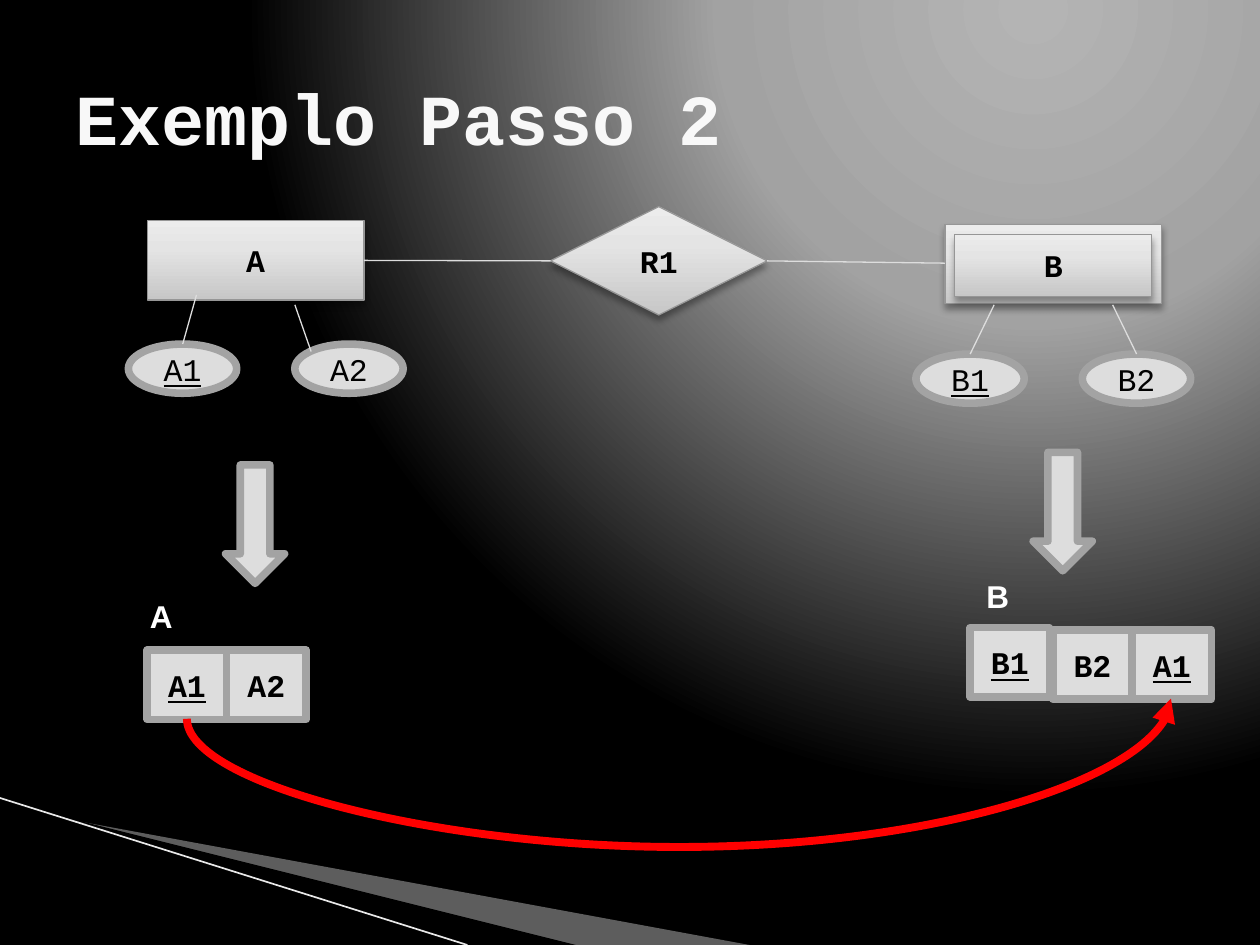
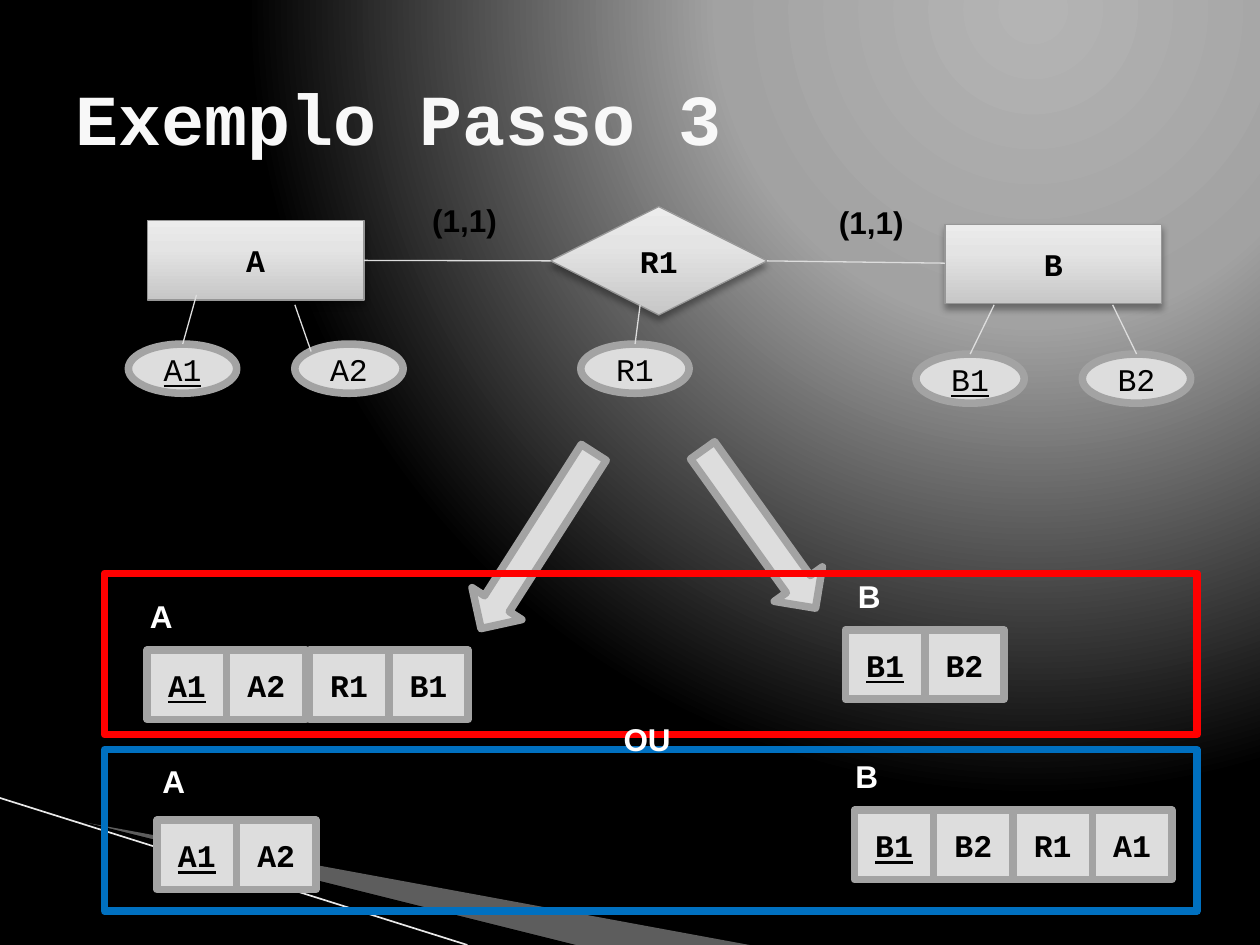
import lxml.etree
import pptx
import pptx.dml.color
import pptx.enum.shapes
import pptx.enum.text
import pptx.oxml.ns
import pptx.util

Pt = pptx.util.Pt
qn = pptx.oxml.ns.qn
SHAPES = pptx.enum.shapes.MSO_SHAPE
CONNECTORS = pptx.enum.shapes.MSO_CONNECTOR
ALIGN = pptx.enum.text.PP_ALIGN
ANCHOR = pptx.enum.text.MSO_ANCHOR

CODE_FONT, LABEL_FONT = "Courier New", "Arial"
BLACK, WHITE, TITLE = "000000", "FFFFFF", "F8F8F8"
LIGHT, BORDER, ENTITY_BORDER = "DDDDDD", "A3A3A3", "969696"
BAND, BAND_LINE = "EAEAEA", "E8E8E8"
RED, BLUE = "FF0000", "0070C0"
HEAVY, THIN = 4.33, 0.75
BACKGROUND_STOPS = [(0, "B4B4B4"), (40, "A2A2A2"), (100, BLACK)]
ENTITY_STOPS = [(0, "C7C7C7"), (65, "E4E4E4"), (100, "ECECEC")]
ENTITY_SIZE, ATTRIBUTE_SIZE, CELL_SIZE = (123.8, 45.4), (61.9, 28.1), (45.36, 39.6)


def color(value):
    """Turn a hex string into a colour."""
    return pptx.dml.color.RGBColor.from_string(value)


def add_child(parent, tag, **attributes):
    """Append a DrawingML element with the given attributes."""
    child = lxml.etree.SubElement(parent, qn(tag))
    for name, value in attributes.items():
        child.set(name, str(value))
    return child


def set_gradient(fill, owner, stops):
    """Give a fill the stops and return its emptied gradient element."""
    fill.gradient()
    gradient = owner.find(".//" + qn("a:gradFill"))
    for child in list(gradient):
        gradient.remove(child)
    stop_list = add_child(gradient, "a:gsLst")
    for position, value in stops:
        stop = add_child(stop_list, "a:gs", pos=position * 1000)
        add_child(stop, "a:srgbClr", val=value)
    return gradient


def set_background(master):
    """Light the shared background from its upper right."""
    gradient = set_gradient(master.background.fill, master.element.cSld, BACKGROUND_STOPS)
    radial = add_child(gradient, "a:path", path="circle")
    add_child(radial, "a:fillToRect", l=65000, t=0, r=0, b=98000)


def write_text(shape, text, size=18, font=CODE_FONT, fill=BLACK, bold=True,
               underline=False, align=ALIGN.CENTER, anchor=ANCHOR.MIDDLE, wrap=True):
    """Write one formatted run into a shape."""
    frame = shape.text_frame
    frame.word_wrap = wrap
    frame.vertical_anchor = anchor
    paragraph = frame.paragraphs[0]
    paragraph.alignment = align
    run = paragraph.add_run()
    run.text = text
    run.font.size = Pt(size)
    run.font.name = font
    run.font.bold = bold
    run.font.underline = underline
    run.font.color.rgb = color(fill)


def add_box(slide, kind, left, top, width, height, fill=LIGHT, line=BORDER,
            weight=HEAVY, rotation=0):
    """Add a preset shape without a shadow."""
    shape = slide.shapes.add_shape(kind, Pt(left), Pt(top), Pt(width), Pt(height))
    shape.shadow.inherit = False
    shape.rotation = rotation
    if fill:
        shape.fill.solid()
        shape.fill.fore_color.rgb = color(fill)
    else:
        shape.fill.background()
    shape.line.color.rgb = color(line)
    shape.line.width = Pt(weight)
    return shape


def add_line(slide, start, end, line=LIGHT, weight=THIN, kind=CONNECTORS.STRAIGHT):
    """Connect two points without a shadow."""
    connector = slide.shapes.add_connector(kind, *map(Pt, (*start, *end)))
    connector.line.color.rgb = color(line)
    connector.line.width = Pt(weight)
    add_child(connector.element.spPr, "a:effectLst")
    return connector


def add_label(slide, text, left, top, width=27.4, fill=WHITE):
    """Add a free-standing bold label."""
    box = slide.shapes.add_textbox(Pt(left), Pt(top), Pt(width), Pt(28.8))
    write_text(box, text, font=LABEL_FONT, fill=fill, align=ALIGN.LEFT,
               anchor=ANCHOR.TOP, wrap=False)


def add_wedge(slide, points, fill):
    """Add a filled outline and return it."""
    corners = [(Pt(x), Pt(y)) for x, y in points]
    builder = slide.shapes.build_freeform(*corners[0])
    builder.add_line_segments(corners[1:])
    shape = builder.convert_to_shape()
    shape.shadow.inherit = False
    shape.fill.solid()
    shape.fill.fore_color.rgb = color(fill)
    shape.line.fill.background()
    return shape


def draw_corner(slide):
    """Draw the wedges and line of the lower left corner."""
    band = add_wedge(slide, [(39.6, 468.3), (428.4, 540), (328.3, 540)], BAND)
    add_child(band.element.spPr.find(".//" + qn("a:srgbClr")), "a:alpha", val=40000)
    add_wedge(slide, [(38.2, 467.3), (329, 540), (267.8, 540)], BLACK)
    add_line(slide, (0, 456), (267.1, 540), BAND_LINE, 0.95)


def start_slide(presentation, title):
    """Add a titled slide with the shared decoration."""
    slide = presentation.slides.add_slide(presentation.slide_layouts[5])
    draw_corner(slide)
    shape = slide.shapes.title
    shape.left, shape.top, shape.width, shape.height = map(Pt, (36, 21.6, 648, 90))
    write_text(shape, title, size=41, fill=TITLE, align=ALIGN.LEFT)
    return slide


def draw_raised(slide, kind, text, left, top, width, height):
    """Draw a diagram node with a gradient and a soft shadow."""
    shape = add_box(slide, kind, left, top, width, height, line=ENTITY_BORDER, weight=THIN)
    properties = shape.element.spPr
    gradient = set_gradient(shape.fill, properties, ENTITY_STOPS)
    add_child(gradient, "a:lin", ang=270 * 60000, scaled=0)
    shadow = add_child(properties.find(qn("a:effectLst")), "a:outerShdw",
                       blurRad=Pt(4), dist=Pt(3), dir=90 * 60000, rotWithShape=0)
    add_child(add_child(shadow, "a:srgbClr", val=BLACK), "a:alpha", val=35000)
    if text:
        write_text(shape, text)


def draw_attribute(slide, text, left, top, link_start=(31, 0), link_end=(31, -28.1),
                   key=False):
    """Draw an attribute and its link, given from the attribute's corner."""
    shape = add_box(slide, SHAPES.OVAL, left, top, *ATTRIBUTE_SIZE)
    write_text(shape, text, bold=False, underline=key)
    add_line(slide, *[(left + x, top + y) for x, y in (link_start, link_end)])


def draw_entity_a(slide, left, top):
    """Draw entity A with its attributes."""
    draw_raised(slide, SHAPES.RECTANGLE, "A", left, top, *ENTITY_SIZE)
    draw_attribute(slide, "A1", left - 10.8, top + 70.6, link_end=(38.9, -28.1), key=True)
    draw_attribute(slide, "A2", left + 84.3, top + 70.6, (9.3, 4.3), (0, -22.4))


def draw_entity_b(slide, left, top, weak=False):
    """Draw entity B with its attributes and a double frame if weak."""
    draw_raised(slide, SHAPES.RECTANGLE, "" if weak else "B", left, top, *ENTITY_SIZE)
    if weak:
        draw_raised(slide, SHAPES.RECTANGLE, "B", left + 5.6, top + 5.8, 112.5, 35.3)
    draw_attribute(slide, "B1", left - 16.6, top + 74.1, link_end=(44.7, -28.1), key=True)
    draw_attribute(slide, "B2", left + 78.5, top + 74.1, link_end=(17.3, -28.1))


def draw_model(slide, left=84.2, top=118.1, weak=False):
    """Draw the two entities joined by their relationship."""
    middle = top + 31
    draw_entity_a(slide, left, top + 7.9)
    draw_entity_b(slide, left + 455.8, top + 10.1, weak)
    draw_raised(slide, SHAPES.DIAMOND, "R1", left + 230.4, top, 123.8, 61.9)
    add_line(slide, (left + 123.8, middle - 0.3), (left + 230.4, middle))
    add_line(slide, (left + 354.2, middle), (left + 455.8, middle + 1.3))


def draw_columns(slide, left, top, columns, keys=()):
    """Draw the columns of a relation side by side, underlining the keys."""
    width, height = CELL_SIZE
    for index, column in enumerate(columns):
        cell = add_box(slide, SHAPES.RECTANGLE, left + index * width, top, width, height)
        write_text(cell, column, underline=column in keys)


def draw_arrow(slide, left, top, height=67.7, rotation=0):
    """Draw a block arrow from the model to a relation."""
    add_box(slide, SHAPES.DOWN_ARROW, left, top, 33.8, height, rotation=rotation)


def draw_reference(slide, left, top, width, rise, depth):
    """Draw the curved arrow from a key to its foreign key."""
    center_x, center_y = left + width / 2, top - rise / 2
    curve = add_line(slide, (center_x + rise / 2, center_y + width / 2),
                     (center_x - rise / 2, center_y - width / 2), RED, 4.5, CONNECTORS.CURVE)
    properties = curve.element.spPr
    properties.find(qn("a:xfrm")).set("rot", str(90 * 60000))
    geometry = properties.find(qn("a:prstGeom"))
    guides = geometry.find(qn("a:avLst"))
    if guides is None:
        guides = add_child(geometry, "a:avLst")
    add_child(guides, "a:gd", name="adj1", fmla=f"val {round(-depth / rise * 100000)}")
    add_child(properties.find(qn("a:ln")), "a:tailEnd", type="triangle")


def build_step_two(presentation):
    """Build the slide about a weak entity."""
    slide = start_slide(presentation, "Exemplo Passo 2")
    draw_model(slide, weak=True)
    draw_arrow(slide, 128.9, 265.7)
    draw_arrow(slide, 590.4, 258.5)
    add_label(slide, "A", 78.5, 337.7)
    draw_columns(slide, 84.2, 371.5, ["A1", "A2"], ["A1"])
    add_label(slide, "B", 556.6, 326.2)
    draw_columns(slide, 554.4, 358.6, ["B1"], ["B1"])
    draw_columns(slide, 601.6, 360, ["B2", "A1"], ["A1"])
    draw_reference(slide, 106.8, 410.8, 562.3, 11.5, 73.2)


def draw_option(slide, top, line):
    """Frame one of the alternative mappings."""
    add_box(slide, SHAPES.RECTANGLE, 59.8, top, 624.2, 92.2, fill=None, line=line)


def build_step_three(presentation):
    """Build the slide about a one-to-one relationship."""
    slide = start_slide(presentation, "Exemplo Passo 3")
    draw_model(slide)
    draw_attribute(slide, "R1", 331.9, 196.6, link_end=(33.9, -22.3))
    add_label(slide, "(1,1)", 239.8, 111.6, 51.8, BLACK)
    add_label(slide, "(1,1)", 472.3, 112.3, 51.8, BLACK)
    draw_arrow(slide, 290.2, 249.1, 119.5, 32.6)
    draw_arrow(slide, 416.9, 247, 110.9, 324.4)
    add_label(slide, "A", 78.5, 337.7)
    draw_columns(slide, 84.2, 371.5, ["A1", "A2"], ["A1"])
    draw_columns(slide, 176.8, 371.5, ["R1", "B1"])
    add_label(slide, "B", 483.1, 326.2)
    draw_columns(slide, 483.1, 360, ["B1", "B2"], ["B1"])
    add_label(slide, "A", 85.7, 432)
    draw_columns(slide, 89.8, 468.7, ["A1", "A2"], ["A1"])
    add_label(slide, "B", 481.7, 429.1)
    draw_columns(slide, 488.2, 463, ["B1", "B2", "R1", "A1"], ["B1"])
    draw_option(slide, 327.6, RED)
    draw_option(slide, 428.4, BLUE)
    add_label(slide, "OU", 349.2, 408.2, 41.8)


def main():
    """Build and save the presentation."""
    presentation = pptx.Presentation()
    presentation.slide_width, presentation.slide_height = Pt(720), Pt(540)
    set_background(presentation.slide_master)
    build_step_two(presentation)
    build_step_three(presentation)
    presentation.save("out.pptx")


if __name__ == "__main__":
    main()
